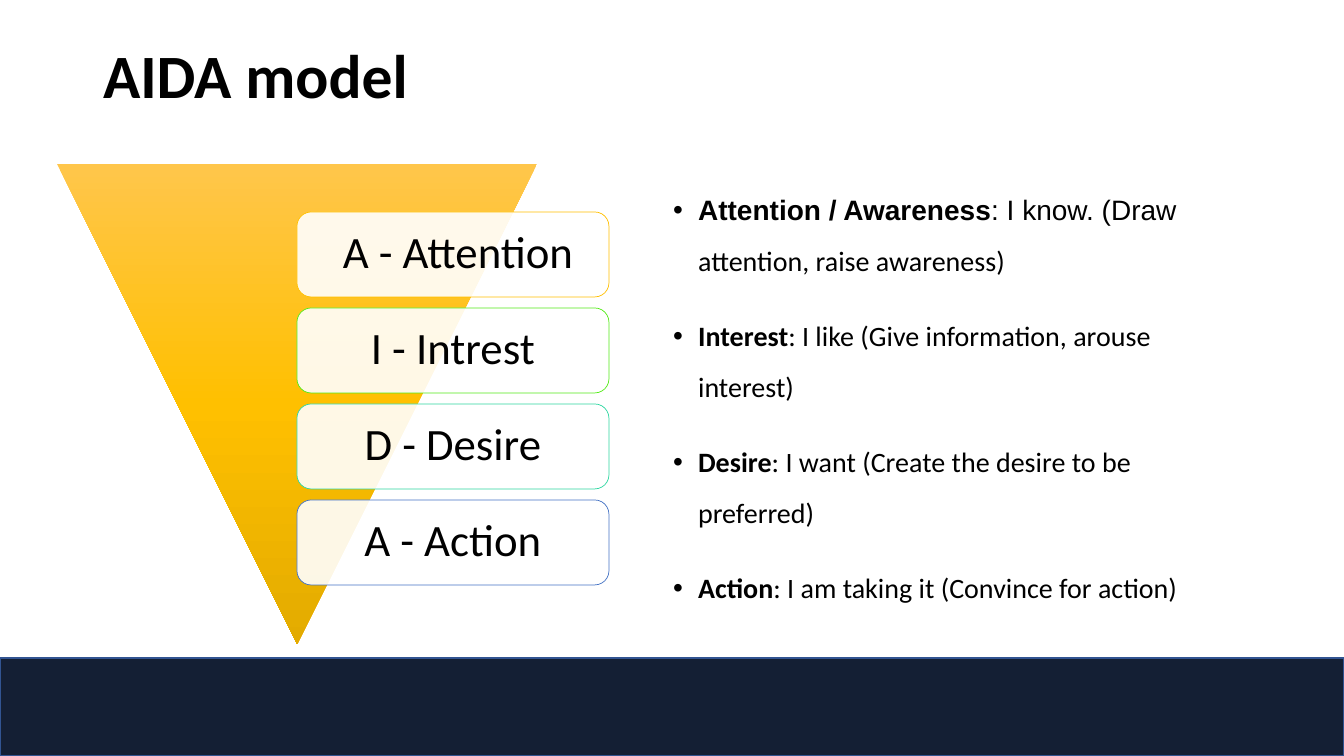
from lxml import etree
from pptx import Presentation
from pptx.dml.color import RGBColor
from pptx.enum import shapes, text
from pptx.oxml import parse_xml
from pptx.oxml.ns import nsdecls, qn
from pptx.util import Emu, Pt

BLACK = RGBColor(0x00, 0x00, 0x00)
WHITE = RGBColor(0xFF, 0xFF, 0xFF)
NAVY = RGBColor(0x14, 0x1F, 0x34)
BLUE_EDGE = RGBColor(0x32, 0x54, 0x91)
GOLD = RGBColor(0xFF, 0xC0, 0x00)
LIGHT_GOLD = RGBColor(0xFF, 0xC6, 0x4B)
DARK_GOLD = RGBColor(0xE3, 0xAB, 0x00)
GREEN = RGBColor(0x53, 0xEB, 0x17)
TEAL = RGBColor(0x2E, 0xD7, 0xA1)
BLUE = RGBColor(0x44, 0x72, 0xC4)

STAGES = [(" A - Attention", GOLD), ("I - Intrest", GREEN),
          ("D - Desire", TEAL), ("A - Action", BLUE)]
# Each bullet is a list of (wording, bold, font) spans.
BULLETS = [
    [("Attention / Awareness", True, "Arial"),
     (": I know. (Draw ", False, "Arial"),
     ("attention, raise awareness)", False, "Calibri")],
    [("Interest", True, "Calibri"),
     (": I like (Give information, arouse interest)", False, "Calibri")],
    [("Desire", True, "Calibri"),
     (": I want (Create the desire to be preferred)", False, "Calibri")],
    [("Action", True, "Calibri"),
     (": I am taking it (Convince for action)", False, "Calibri")],
]


def px(count):
    return Emu(round(count * 914400 / 100.8))


class Page:
    font = "Calibri"
    color = BLACK

    def __init__(self, deck):
        self.slide = deck.slides.add_slide(deck.slide_layouts[1])

    def place(self, box, left, top, width, height):
        box.left, box.top = px(left), px(top)
        box.width, box.height = px(width), px(height)

    def span(self, para, wording, size, bold=False, font=None):
        run = para.add_run()
        run.text = wording
        run.font.name = font or self.font
        run.font.size = Pt(size)
        run.font.bold = bold
        run.font.color.rgb = self.color

    def title(self, wording, *area):
        box = self.slide.shapes.title
        self.place(box, *area)
        frame = box.text_frame
        frame.vertical_anchor = text.MSO_ANCHOR.TOP
        frame.auto_size = text.MSO_AUTO_SIZE.NONE
        para = frame.paragraphs[0]
        para.alignment = text.PP_ALIGN.LEFT
        para.line_spacing = 0.9
        self.span(para, wording, 44, bold=True)

    def bullets(self, items, *area):
        box = self.slide.placeholders[1]
        self.place(box, *area)
        frame = box.text_frame
        frame.auto_size = text.MSO_AUTO_SIZE.NONE
        for index, spans in enumerate(items):
            para = frame.add_paragraph() if index else frame.paragraphs[0]
            layout = para._p.get_or_add_pPr()
            layout.set("marL", str(px(25)))
            layout.set("indent", str(px(-25)))
            etree.SubElement(layout, qn("a:buFont")).set("typeface", "Arial")
            etree.SubElement(layout, qn("a:buChar")).set("char", "•")
            para.line_spacing = 1.5
            para.space_before = Pt(10 if index else 0)
            para.space_after = Pt(8)
            for wording, bold, font in spans:
                self.span(para, wording, 20, bold, font)

    def shape(self, kind, area, fill=None, edge=None, weight=1):
        box = self.slide.shapes.add_shape(kind, *map(px, area))
        box.shadow.inherit = False
        if fill is not None:
            box.fill.solid()
            box.fill.fore_color.rgb = fill
        if edge is None:
            box.line.fill.background()
        else:
            box.line.color.rgb = edge
            box.line.width = Pt(weight)
        return box

    def funnel(self, colors, *area):
        """Draw a downward triangle, shaded from top to bottom."""
        box = self.shape(shapes.MSO_SHAPE.ISOSCELES_TRIANGLE, area)
        box.rotation = 180
        stops = "".join(
            f'<a:gs pos="{index * 50000}"><a:srgbClr val="{color}"/></a:gs>'
            for index, color in enumerate(colors))
        gradient = parse_xml(
            f'<a:gradFill {nsdecls("a")} rotWithShape="0"><a:gsLst>{stops}'
            '</a:gsLst><a:lin ang="5400000" scaled="0"/></a:gradFill>')
        box._element.spPr.find(qn("a:prstGeom")).addnext(gradient)

    def stage(self, wording, edge, *area):
        """Draw a translucent rounded label."""
        box = self.shape(shapes.MSO_SHAPE.ROUNDED_RECTANGLE, area,
                         WHITE, edge, 0.5)
        white = box._element.spPr.find(qn("a:solidFill"))[0]
        etree.SubElement(white, qn("a:alpha")).set("val", "90000")
        frame = box.text_frame
        frame.word_wrap = True
        frame.vertical_anchor = text.MSO_ANCHOR.MIDDLE
        frame.margin_left = frame.margin_right = px(17)
        frame.margin_top = frame.margin_bottom = px(17)
        para = frame.paragraphs[0]
        para.alignment = text.PP_ALIGN.CENTER
        para.line_spacing = 0.9
        self.span(para, wording, 32)


def main():
    deck = Presentation()
    deck.slide_width, deck.slide_height = px(1344), px(756)
    page = Page(deck)
    page.shape(shapes.MSO_SHAPE.RECTANGLE, (0, 658, 1344, 98),
               NAVY, BLUE_EDGE)
    page.title("AIDA model", 93, 40, 1159, 146)
    page.bullets(BULLETS, 663, 171, 572, 480)
    page.funnel([LIGHT_GOLD, GOLD, DARK_GOLD], 57, 164, 480, 480)
    for index, (wording, edge) in enumerate(STAGES):
        page.stage(wording, edge, 297, 212 + 96 * index, 312, 85)
    deck.save("out.pptx")


if __name__ == "__main__":
    main()
